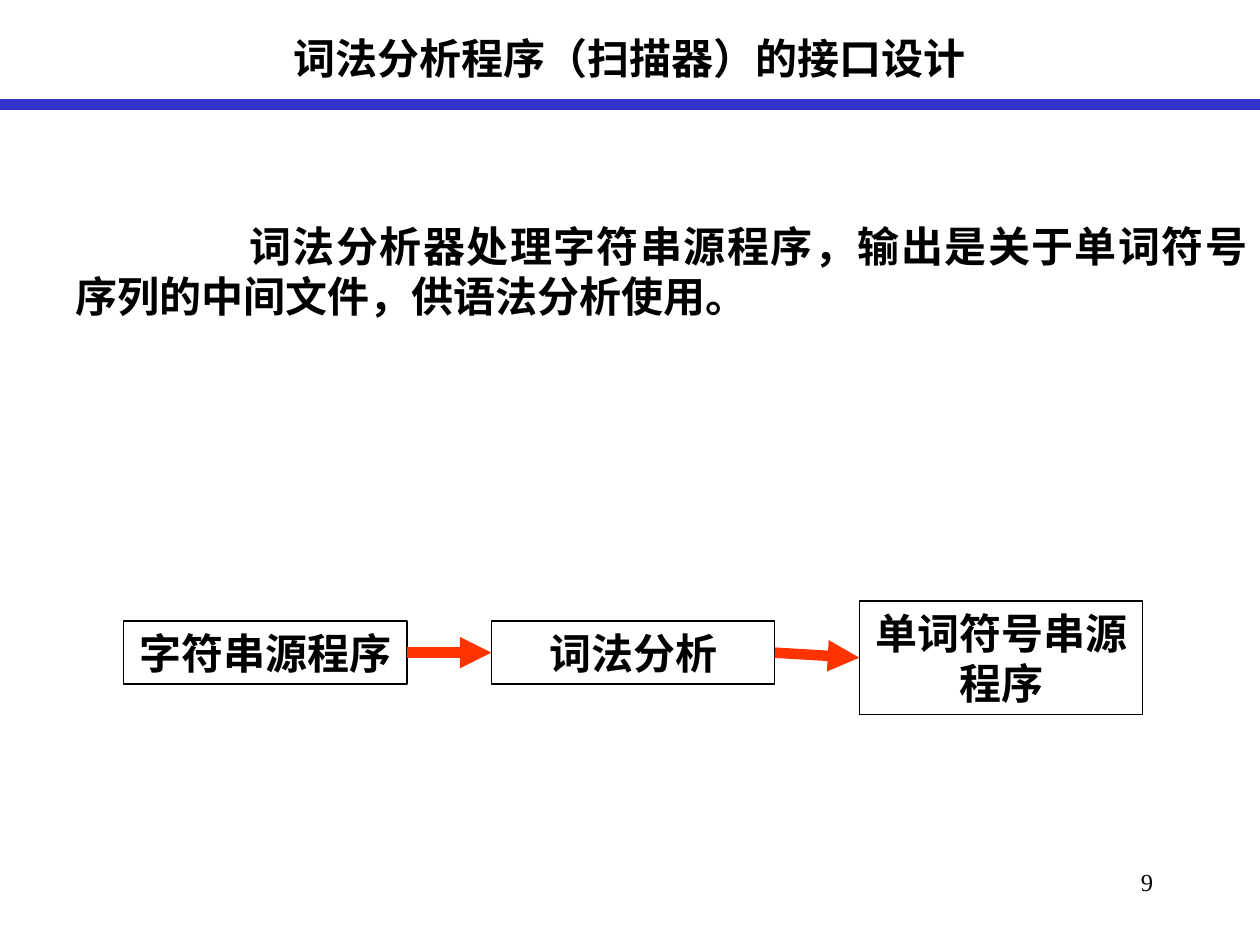
from lxml import etree
from pptx import Presentation
from pptx.dml.color import RGBColor
from pptx.enum.shapes import MSO_CONNECTOR, MSO_SHAPE
from pptx.enum.text import MSO_ANCHOR, PP_ALIGN
from pptx.oxml.ns import qn
from pptx.util import Inches, Pt

BLACK = RGBColor(0x00, 0x00, 0x00)
BLUE = RGBColor(0x33, 0x33, 0xCC)
RED = RGBColor(0xFF, 0x33, 0x00)
LATIN_FONT = "Times New Roman"
CJK_FONT = "Noto Sans CJK SC"

BOX_LEFT, BOX_STEP, BOX_WIDTH = 0.98, 2.92, 2.25
STAGES = [  # text, top, height
    ("字符串源程序", 4.93, 0.5),
    ("词法分析", 4.93, 0.5),
    ("单词符号串源程序", 4.77, 0.9),
]


def write_text(sp, text, size=24, bold=True, align=PP_ALIGN.CENTER,
               anchor=MSO_ANCHOR.TOP, first_indent=0):
    tf = sp.text_frame
    tf.word_wrap = True
    tf.vertical_anchor = anchor
    p = tf.paragraphs[0]
    p.alignment = align
    if first_indent:
        p._p.get_or_add_pPr().set("indent", str(Inches(first_indent)))
    r = p.add_run()
    r.text = text
    r.font.name = LATIN_FONT
    r.font.size = Pt(size)
    r.font.bold = bold
    r.font.color.rgb = BLACK
    etree.SubElement(r._r.rPr, qn("a:ea")).set("typeface", CJK_FONT)


def add_text(s, text, left, top, width, height, **text_format):
    sp = s.shapes.add_textbox(Inches(left), Inches(top), Inches(width), Inches(height))
    write_text(sp, text, **text_format)
    return sp


def add_stage(s, text, left, top, height):
    sp = s.shapes.add_shape(MSO_SHAPE.RECTANGLE, Inches(left), Inches(top),
                            Inches(BOX_WIDTH), Inches(height))
    sp.shadow.inherit = False
    sp.fill.background()
    sp.line.color.rgb = BLACK
    sp.line.width = Pt(0.75)
    write_text(sp, text, anchor=MSO_ANCHOR.MIDDLE)
    return sp


def add_line(s, color, x1=0, y1=0, x2=0, y2=0):
    line = s.shapes.add_connector(MSO_CONNECTOR.STRAIGHT, Inches(x1), Inches(y1),
                                  Inches(x2), Inches(y2))
    line.line.color.rgb = color
    line.line.width = Pt(6)
    etree.SubElement(line._element.spPr, qn("a:effectLst"))
    return line


def add_arrow(s, source, target):
    """Join the right side of source to the left side of target."""
    arrow = add_line(s, RED)
    arrow.begin_connect(source, 3)
    arrow.end_connect(target, 1)
    etree.SubElement(arrow.line._get_or_add_ln(), qn("a:tailEnd")).set("type", "triangle")


def main():
    prs = Presentation()
    prs.slide_width, prs.slide_height = Inches(10), Inches(7.5)
    s = prs.slides.add_slide(prs.slide_layouts[6])

    add_text(s, "词法分析程序（扫描器）的接口设计", 0.75, 0.21, 8.5, 0.5)
    add_line(s, BLUE, 0, 0.83, 10, 0.83)
    add_text(s, "词法分析器处理字符串源程序，输出是关于单词符号序列的中间文件，供语法分析使用。",
             0.5, 1.7, 9.5, 0.9, align=PP_ALIGN.JUSTIFY, first_indent=1.38)

    boxes = [add_stage(s, text, BOX_LEFT + i * BOX_STEP, top, height)
             for i, (text, top, height) in enumerate(STAGES)]
    for source, target in zip(boxes, boxes[1:]):
        add_arrow(s, source, target)

    add_text(s, "9", 7.17, 6.83, 2.08, 0.5, size=14, bold=False, align=PP_ALIGN.RIGHT)
    prs.save("out.pptx")


if __name__ == "__main__":
    main()
